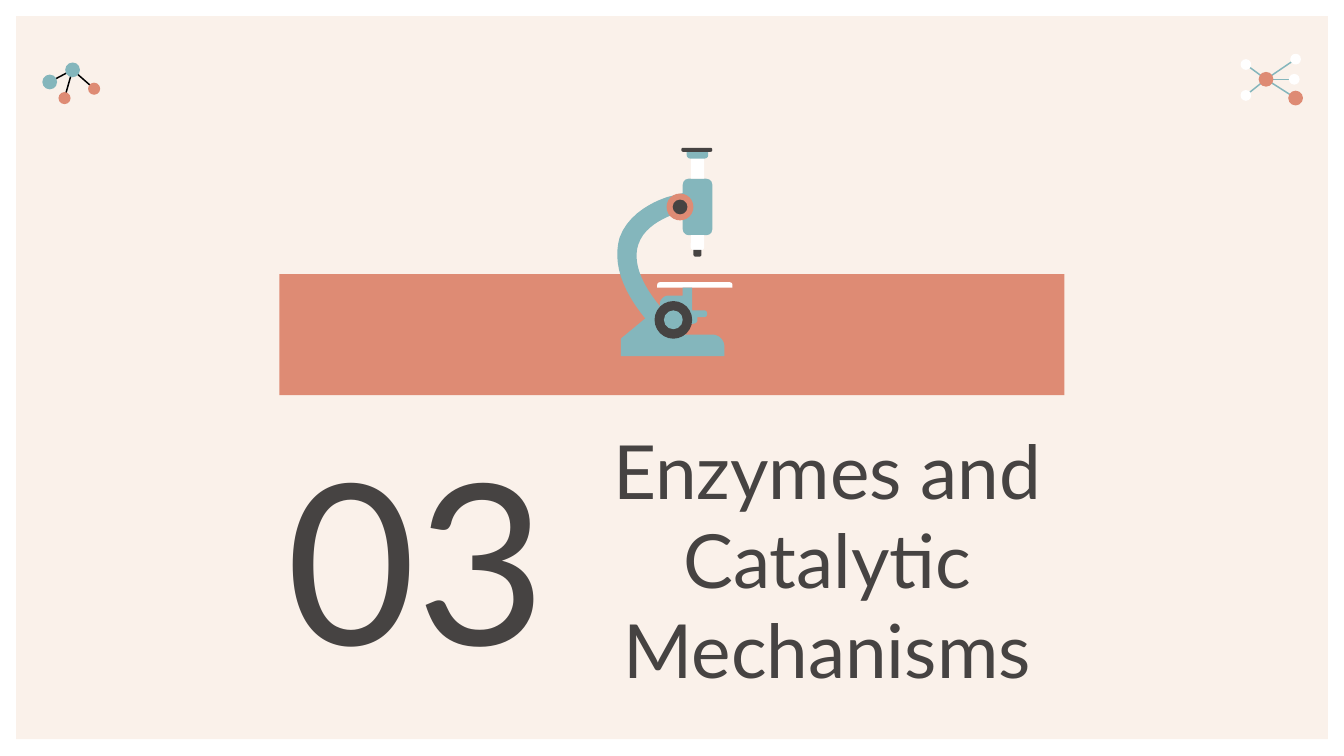
from dataclasses import dataclass

from lxml import etree
from pptx import Presentation
from pptx.dml.color import RGBColor
from pptx.enum.shapes import MSO_CONNECTOR, MSO_SHAPE
from pptx.enum.text import MSO_ANCHOR, MSO_AUTO_SIZE, PP_ALIGN
from pptx.oxml.ns import qn
from pptx.util import Inches, Pt

RECT = MSO_SHAPE.RECTANGLE
ROUNDED = MSO_SHAPE.ROUNDED_RECTANGLE
TWO_ROUNDED = MSO_SHAPE.ROUND_2_SAME_RECTANGLE
OVAL = MSO_SHAPE.OVAL
STRAIGHT = MSO_CONNECTOR.STRAIGHT
CENTER = PP_ALIGN.CENTER
MIDDLE, BOTTOM = MSO_ANCHOR.MIDDLE, MSO_ANCHOR.BOTTOM
NO_AUTOFIT = MSO_AUTO_SIZE.NONE
CURVE_STEPS = 12


@dataclass(frozen=True)
class Theme:
    font: str = "Lato"
    number_size: int = 120
    title_size: int = 40
    bond_width: float = 0.78
    cream: str = "FAF1EA"
    coral: str = "DE8B74"
    teal: str = "84B6BC"
    dark: str = "464342"
    white: str = "FFFFFF"
    black: str = "000000"


def bezier(start, first, second, end):
    """Sample a cubic curve, leaving out its start point."""
    for step in range(1, CURVE_STEPS + 1):
        t = step / CURVE_STEPS
        u = 1 - t
        yield tuple(u**3 * a + 3 * u * u * t * b + 3 * u * t * t * c + t**3 * d
                    for a, b, c, d in zip(start, first, second, end))


class Painter:
    """Holds the theme and the page being drawn; positions are in inches."""

    def __init__(self, page, theme):
        self.page = page
        self.theme = theme

    def paint(self, shape, color):
        shape.shadow.inherit = False
        shape.fill.solid()
        shape.fill.fore_color.rgb = RGBColor.from_string(color)
        shape.line.fill.background()

    def shape(self, kind, left, top, width, height, color, corners=()):
        shape = self.page.shapes.add_shape(
            kind, Inches(left), Inches(top), Inches(width), Inches(height))
        for index, corner in enumerate(corners):
            shape.adjustments[index] = corner
        self.paint(shape, color)

    def circle(self, x, y, size, color):
        self.shape(OVAL, x - size / 2, y - size / 2, size, size, color)

    def outline(self, start, steps, color):
        """Draw a closed outline; a step is points to join, or three for a curve."""
        points = [start]
        for step in steps:
            points.extend(bezier(points[-1], *step) if len(step) == 3 else step)
        corners = [(Inches(x), Inches(y)) for x, y in points]
        builder = self.page.shapes.build_freeform(*corners[0])
        builder.add_line_segments(corners[1:], close=True)
        self.paint(builder.convert_to_shape(), color)

    def line(self, start, end, color):
        line = self.page.shapes.add_connector(
            STRAIGHT, *(Inches(value) for value in (*start, *end)))
        line.line.color.rgb = RGBColor.from_string(color)
        line.line.width = Pt(self.theme.bond_width)
        etree.SubElement(line.element.spPr, qn("a:effectLst"))

    def molecule(self, atoms, bonds, bond_color):
        """Draw atoms (x, y, size, color) over the bonds between their indexes."""
        for first, second in bonds:
            self.line(atoms[first][:2], atoms[second][:2], bond_color)
        for atom in atoms:
            self.circle(*atom)

    def heading(self, box, text, place, size, anchor):
        """Fill a placeholder and bring it in front of the shapes so far."""
        box.left, box.top, box.width, box.height = map(Inches, place)
        frame = box.text_frame
        frame.text = text
        frame.word_wrap = True
        frame.auto_size = NO_AUTOFIT
        frame.vertical_anchor = anchor
        frame.margin_left = frame.margin_right = Inches(0.1)
        frame.margin_top = frame.margin_bottom = Inches(0.1)
        para = frame.paragraphs[0]
        para.alignment = CENTER
        para.space_before = Pt(0)
        font = para.runs[0].font
        font.name = self.theme.font
        font.size = Pt(size)
        font.color.rgb = RGBColor.from_string(self.theme.dark)
        box.element.getparent().append(box.element)


def draw_molecules(painter):
    theme = painter.theme
    painter.molecule(
        [(0.37, 0.61, 0.11, theme.teal), (0.54, 0.52, 0.11, theme.teal),
         (0.48, 0.73, 0.09, theme.coral), (0.7, 0.66, 0.09, theme.coral)],
        [(0, 1), (1, 2), (1, 3)], theme.black)
    painter.molecule(
        [(9.42, 0.59, 0.11, theme.coral), (9.64, 0.73, 0.11, theme.coral),
         (9.64, 0.44, 0.08, theme.white), (9.63, 0.59, 0.08, theme.white),
         (9.27, 0.48, 0.08, theme.white), (9.27, 0.71, 0.08, theme.white)],
        [(0, end) for end in range(1, 6)], theme.teal)


def draw_microscope(painter):
    theme = painter.theme
    cup, dome = (0, 0.5), (0.5, 0)
    # Arm
    painter.outline((5.11, 1.43), [
        [(4.99, 1.46)],
        [(4.98, 1.46), (4.69, 1.54), (4.61, 1.77)],
        [(4.56, 1.95), (4.62, 2.15), (4.81, 2.38)],
        [(4.92, 2.29)],
        [(4.76, 2.1), (4.71, 1.94), (4.75, 1.82)],
        [(4.8, 1.66), (5.01, 1.6), (5.02, 1.59)],
        [(5.14, 1.57)]], theme.teal)
    # Barrel, tubes, lens and eyepiece
    painter.shape(ROUNDED, 5.08, 1.33, 0.22, 0.42, theme.teal, (0.2,))
    painter.shape(RECT, 5.14, 1.13, 0.1, 0.2, theme.white)
    painter.shape(TWO_ROUNDED, 5.14, 1.75, 0.1, 0.11, theme.white, (0, 0.2))
    painter.shape(TWO_ROUNDED, 5.16, 1.86, 0.06, 0.05, theme.dark, (0, 0.3))
    painter.shape(TWO_ROUNDED, 5.11, 1.13, 0.16, 0.05, theme.teal, cup)
    painter.shape(ROUNDED, 5.07, 1.1, 0.23, 0.03, theme.dark, (0.4,))
    # Pivot
    painter.circle(5.06, 1.54, 0.2, theme.coral)
    painter.circle(5.06, 1.54, 0.11, theme.dark)
    # Base
    painter.outline((4.91, 2.28), [
        [(4.62, 2.52), (4.62, 2.65)], [(5.39, 2.65)], [(5.39, 2.58)],
        [(5.39, 2.53), (5.35, 2.49), (5.3, 2.49)],
        [(5, 2.49)]], theme.teal)
    # Stage and its bracket
    painter.shape(TWO_ROUNDED, 4.89, 2.1, 0.56, 0.04, theme.white, dome)
    painter.outline((5.08, 2.14), [
        [(5.08, 2.2)], [(4.97, 2.2)],
        [(4.94, 2.2), (4.91, 2.23), (4.91, 2.26)],
        [(4.91, 2.28)], [(5.04, 2.41)], [(5.15, 2.41)],
        [(5.17, 2.41), (5.19, 2.4), (5.19, 2.38)],
        [(5.19, 2.36)], [(5.24, 2.36)],
        [(5.27, 2.36), (5.27, 2.31), (5.24, 2.31)],
        [(5.15, 2.31)], [(5.15, 2.14)]], theme.teal)
    # Focus wheel
    painter.circle(5.01, 2.38, 0.28, theme.dark)
    painter.circle(5.01, 2.38, 0.14, theme.teal)


def main():
    deck = Presentation()
    deck.slide_width = Inches(10)
    deck.slide_height = deck.slide_width * 9 // 16
    page = deck.slides.add_slide(deck.slide_layouts[0])
    theme = Theme()
    painter = Painter(page, theme)

    painter.shape(RECT, 0.12, 0.12, 9.76, 5.38, theme.cream)
    draw_molecules(painter)
    painter.heading(page.placeholders[1], "03", (1.77, 3.09, 2.66, 2.15),
                    theme.number_size, BOTTOM)
    painter.shape(RECT, 2.08, 2.04, 5.84, 0.9, theme.coral)
    painter.heading(page.shapes.title, "Enzymes and Catalytic Mechanisms",
                    (3.48, 3.7, 5.35, 0.92), theme.title_size, MIDDLE)
    draw_microscope(painter)
    deck.save("out.pptx")


if __name__ == "__main__":
    main()
